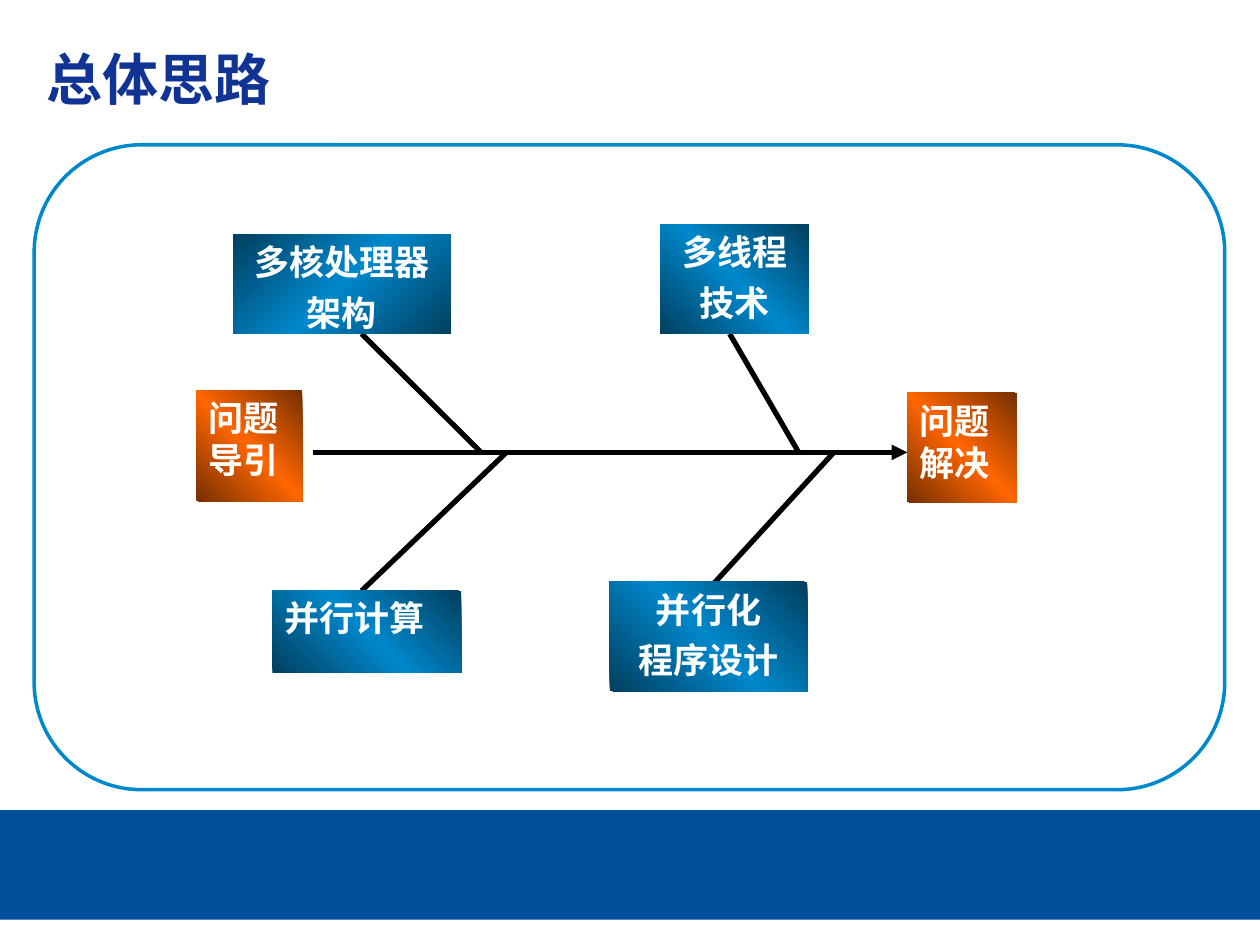
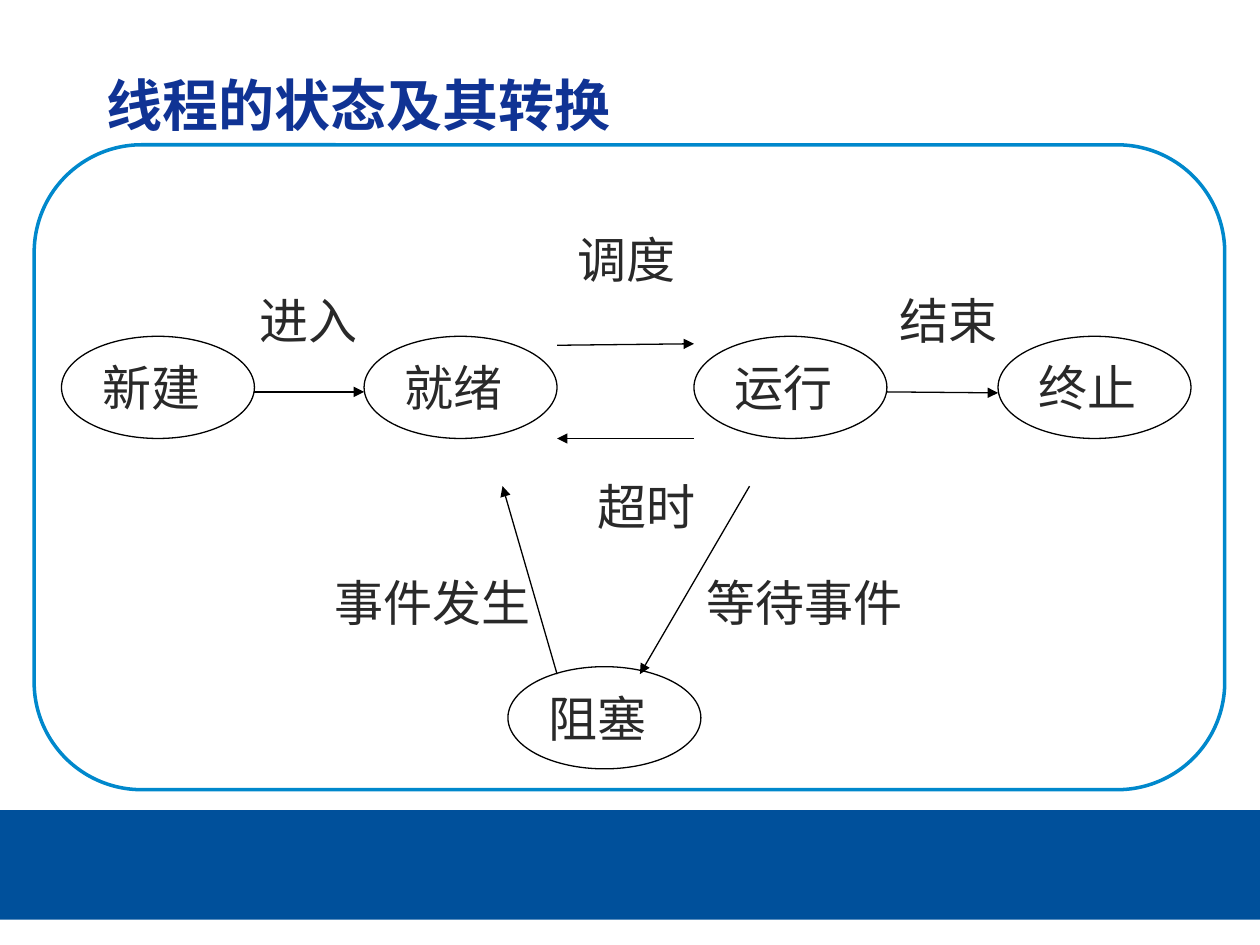
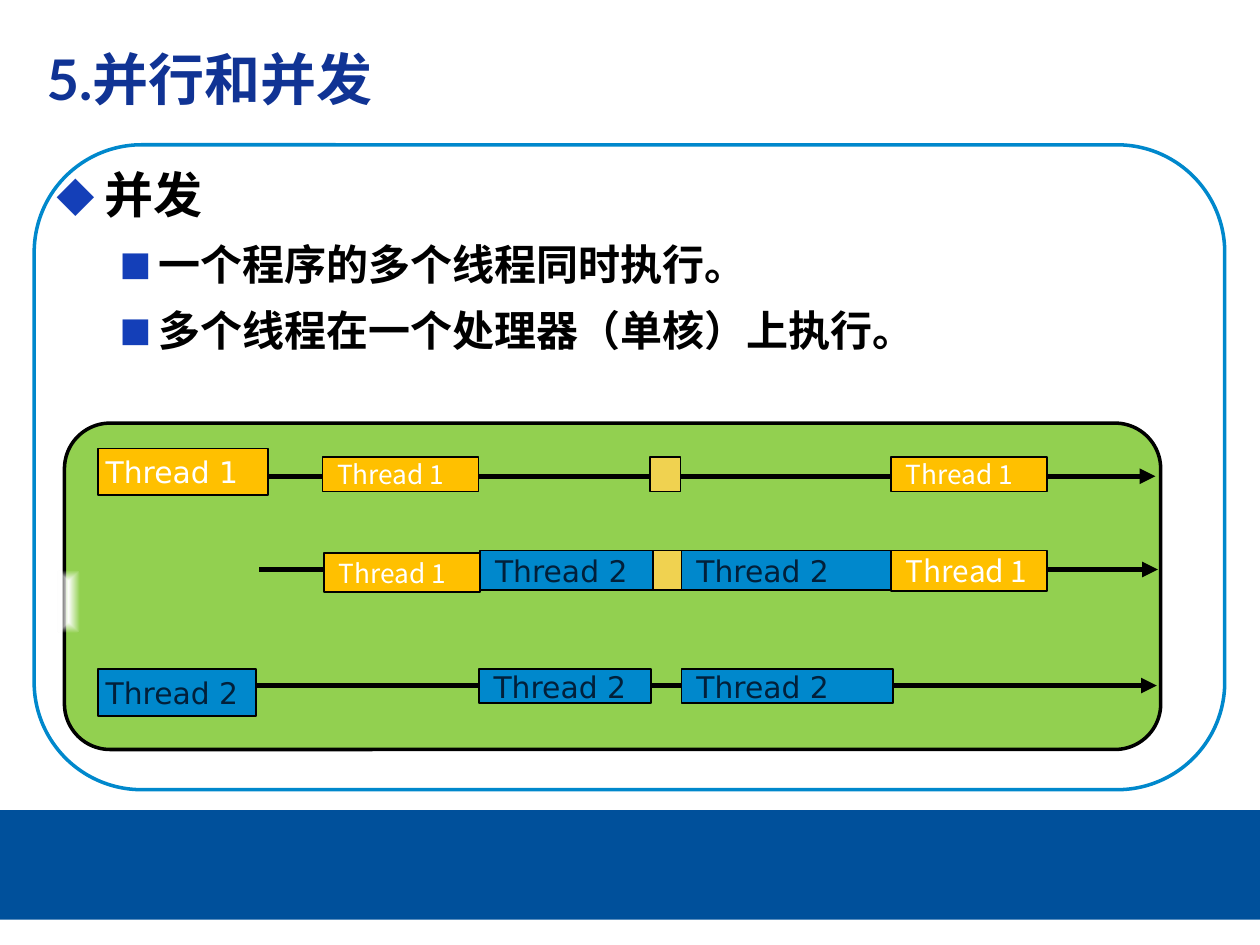
"""Build three slides on threads: the overall approach, thread states, and concurrency."""
import copy

import lxml.etree
import pptx
import pptx.dml.color
import pptx.enum.shapes
import pptx.enum.text
import pptx.oxml.ns
import pptx.util

Cm = pptx.util.Cm
Pt = pptx.util.Pt
RGBColor = pptx.dml.color.RGBColor
SHAPE = pptx.enum.shapes.MSO_SHAPE
ALIGN = pptx.enum.text.PP_ALIGN
ANCHOR = pptx.enum.text.MSO_ANCHOR
qn = pptx.oxml.ns.qn

BAND_BLUE = RGBColor(0x00, 0x50, 0x9B)
SKY_BLUE = RGBColor(0x00, 0x88, 0xCC)
DEEP_BLUE = RGBColor(0x00, 0x3F, 0x5E)
TITLE_BLUE = RGBColor(0x10, 0x33, 0x94)
BULLET_BLUE = RGBColor(0x14, 0x3F, 0xB8)
NAVY = RGBColor(0x02, 0x20, 0x3A)
ORANGE = RGBColor(0xFF, 0x66, 0x00)
BROWN = RGBColor(0x76, 0x2F, 0x00)
AMBER = RGBColor(0xFF, 0xC0, 0x00)
SAND = RGBColor(0xF0, 0xD2, 0x50)
GREEN = RGBColor(0x92, 0xD0, 0x50)
CHARCOAL = RGBColor(0x29, 0x29, 0x29)
BLACK = RGBColor(0x00, 0x00, 0x00)
WHITE = RGBColor(0xFF, 0xFF, 0xFF)

EAST_ASIAN_FONT = "Lato"
TITLE_FONT = {"size": Pt(32), "name": "Lato", "bold": True}
FISHBONE_FONT = {"size": Pt(20), "name": "Times New Roman", "bold": True}
STATE_FONT = {"size": Pt(28), "name": "Times New Roman"}
DEJAVU_17 = {"size": Pt(17), "name": "DejaVu Sans"}
NOTO_17 = {"size": Pt(17), "name": "Noto Sans CJK SC"}
NOTO_15 = {"size": Pt(15), "name": "Noto Sans CJK SC"}
MIDDLE = {"vertical_anchor": ANCHOR.MIDDLE}
SEGMENT_FRAME = {**MIDDLE, "margin_left": Cm(0.3), "margin_right": Cm(0.3),
                 "margin_top": Cm(0.15), "margin_bottom": Cm(0.15)}
LABEL_FRAME = {**MIDDLE, "margin_left": Cm(0.15), "margin_right": Cm(0.15),
               "margin_top": Cm(0.08), "margin_bottom": Cm(0.08)}


def add_block(slide, kind, box, lines=(), font=None, ink=BLACK, fill=None, outline=None,
              weight=1, align=ALIGN.LEFT, frame=None):
    """Add a preset shape, or a text box when kind is None, with its text."""
    place = [Cm(length) for length in box]
    if kind is None:
        block = slide.shapes.add_textbox(*place)
    else:
        block = slide.shapes.add_shape(kind, *place)
        block.shadow.inherit = False
        if fill is None:
            block.fill.background()
        else:
            block.fill.solid()
            block.fill.fore_color.rgb = fill
        if outline is None:
            block.line.fill.background()
        else:
            block.line.color.rgb = outline
            block.line.width = Pt(weight)
    settings = {"word_wrap": True, "vertical_anchor": ANCHOR.TOP, **(frame or {})}
    for name, value in settings.items():
        setattr(block.text_frame, name, value)
    for index, line in enumerate(lines):
        paragraph = block.text_frame.paragraphs[0] if index == 0 else block.text_frame.add_paragraph()
        paragraph.alignment = align
        paragraph.space_before = Pt(5 if index else 0)
        run = paragraph.add_run()
        run.text = line
        for name, value in font.items():
            setattr(run.font, name, value)
        run.font.color.rgb = ink
        lxml.etree.SubElement(run.font._element, qn("a:ea"), typeface=EAST_ASIAN_FONT)
    return block


def add_line(slide, ends, weight, arrow=True):
    """Add a black straight line, with an arrowhead at its end if asked."""
    line = slide.shapes.add_connector(pptx.enum.shapes.MSO_CONNECTOR.STRAIGHT,
                                      *[Cm(length) for length in ends])
    line.line.color.rgb = BLACK
    line.line.width = Pt(weight)
    if arrow:
        lxml.etree.SubElement(line.line._get_or_add_ln(), qn("a:tailEnd"), type="triangle")
    lxml.etree.SubElement(line._element.spPr, qn("a:effectLst"))


deck = pptx.Presentation()
deck.slide_width = Cm(25.4)
deck.slide_height = Cm(19.05)

TITLE_BOX = (0.69, 0.71, 22.86, 1.75)
titles = [
    ("总体思路", TITLE_BOX, TITLE_FONT, MIDDLE),
    ("线程的状态及其转换", (1.9, 1.3, 21.59, 1.68), {**TITLE_FONT, "name": "Noto Sans CJK SC"}, None),
    ("5.并行和并发", TITLE_BOX, TITLE_FONT, MIDDLE),
]
for title, box, font, frame in titles:
    slide = deck.slides.add_slide(deck.slide_layouts[6])
    add_block(slide, SHAPE.RECTANGLE, (0, 16.33, 25.4, 2.21), fill=BAND_BLUE)
    add_block(slide, SHAPE.FLOWCHART_ALTERNATE_PROCESS, (0.69, 2.92, 24, 13),
              outline=SKY_BLUE, weight=2)
    add_block(slide, None, box, [title], font, TITLE_BLUE, frame=frame)
approach, states, concurrency = deck.slides

add_line(approach, (6.3, 9.12, 18.29, 9.12), 3)
bones = [(7.29, 6.73, 9.7, 9.12), (10.21, 9.12, 7.29, 11.91),
         (16.81, 9.12, 14.3, 11.86), (14.71, 6.73, 16.1, 9.12)]
for bone in bones:
    add_line(approach, bone, 3, arrow=False)

topics = [
    (["问题导引"], (3.96, 7.87, 2.13, 2.24), BROWN, ORANGE, 45, ALIGN.LEFT),
    (["问题解决"], (18.29, 7.92, 2.21, 2.21), BROWN, ORANGE, 45, ALIGN.LEFT),
    (["多核处理器", "架构"], (4.7, 4.72, 4.39, 2.01), DEEP_BLUE, SKY_BLUE, 315, ALIGN.CENTER),
    (["并行计算"], (5.49, 11.91, 3.81, 1.65), DEEP_BLUE, SKY_BLUE, 45, ALIGN.LEFT),
    (["多线程", "技术"], (13.31, 4.52, 3, 2.21), DEEP_BLUE, SKY_BLUE, 45, ALIGN.CENTER),
    (["并行化", "程序设计"], (12.29, 11.73, 3.99, 2.21), DEEP_BLUE, SKY_BLUE, 45, ALIGN.CENTER),
]
for lines, box, edge, centre, angle, align in topics:
    topic = add_block(approach, SHAPE.RECTANGLE, box, lines, FISHBONE_FONT, WHITE, align=align)
    topic.fill.gradient()
    topic.fill.gradient_angle = angle
    stops = topic._element.spPr.find(".//" + qn("a:gsLst"))
    stops.append(copy.deepcopy(stops[0]))
    for stop, position, colour in zip(topic.fill.gradient_stops, (0, 0.5, 1), (edge, centre, edge)):
        stop.position = position
        stop.color.rgb = colour

thread_states = [("新建", 1.24, 6.78), ("运行", 13.99, 6.78), ("就绪", 7.34, 6.78),
                 ("阻塞", 10.24, 13.44), ("终止", 20.12, 6.78)]
for state, left, top in thread_states:
    add_block(states, SHAPE.OVAL, (left, top, 3.89, 2.06), [state], STATE_FONT, CHARCOAL,
              outline=BLACK, weight=0.75, align=ALIGN.JUSTIFY, frame=MIDDLE)

transitions = [
    ("进入", (4.98, 5.72, 2.59), (5.13, 7.9, 7.34, 7.9)),
    ("结束", (17.88, 5.72, 3), (17.88, 7.9, 20.12, 7.92)),
    ("事件发生", (6.5, 11.4, 4.72), (11.23, 13.59, 10.13, 9.8)),
    ("等待事件", (13.99, 11.4, 4.72), (15.11, 9.8, 12.9, 13.59)),
    ("调度", (11.4, 4.5, 2.67), (11.23, 6.96, 13.99, 6.93)),
    ("超时", (11.79, 9.47, 2.67), (13.99, 8.84, 11.23, 8.84)),
]
for event, place, ends in transitions:
    add_line(states, ends, 0.75)
    add_block(states, None, (*place, 1.45), [event], STATE_FONT, CHARCOAL,
              align=ALIGN.JUSTIFY, frame=MIDDLE)

definition = add_block(concurrency, None, (0.89, 2.72, 24, 12.4),
                       ["并发", "一个程序的多个线程同时执行。", "多个线程在一个处理器（单核）上执行。"],
                       {"size": Pt(24), "name": "DejaVu Sans", "bold": True})
heading, *points = definition.text_frame.paragraphs
heading.runs[0].font.size = Pt(28)
heading.line_spacing = 1.4
for point in points:
    point.level = 1
    point.line_spacing = 1.1
    point.space_before = Pt(6)
bullets = [(heading, "◆", 0.97, 0.97, 100)] + [(point, "■", 2.06, 0.79, 80) for point in points]
for paragraph, mark, margin, hanging, percent in bullets:
    properties = paragraph._p.get_or_add_pPr()
    properties.set("marL", str(Cm(margin)))
    properties.set("indent", str(-Cm(hanging)))
    bullet_colour = lxml.etree.SubElement(properties, qn("a:buClr"))
    lxml.etree.SubElement(bullet_colour, qn("a:srgbClr"), val=str(BULLET_BLUE))
    lxml.etree.SubElement(properties, qn("a:buSzPct"), val=str(percent * 1000))
    lxml.etree.SubElement(properties, qn("a:buFont"), typeface="DejaVu Sans")
    lxml.etree.SubElement(properties, qn("a:buChar"), char=mark)

panel = add_block(concurrency, SHAPE.ROUNDED_RECTANGLE, (1.3, 8.53, 22.1, 6.58),
                  fill=GREEN, outline=BLACK, weight=2)
panel.adjustments[0] = 0.14

glow = add_block(concurrency, SHAPE.ROUNDED_RECTANGLE, (1.17, 11.51, 0.43, 1.24))
glow.fill.gradient()
for stop in glow.fill.gradient_stops:
    stop.color.rgb = WHITE
gradient = glow._element.spPr.find(qn("a:gradFill"))
edge_colour = gradient.findall(".//" + qn("a:srgbClr"))[-1]
lxml.etree.SubElement(edge_colour, qn("a:alpha"), val="0")
direction = gradient.find(qn("a:lin"))
spread = lxml.etree.Element(qn("a:path"), path="rect")
lxml.etree.SubElement(spread, qn("a:fillToRect"), dict.fromkeys("ltrb", "50000"))
gradient.replace(direction, spread)

for start, height, end in [(5.23, 11.48, 23.34), (5.23, 9.6, 23.29), (5.08, 13.82, 23.32)]:
    add_line(concurrency, (start, height, end, height), 3)

THREAD_1 = (["Thread 1"], WHITE, AMBER)
THREAD_2 = (["Thread 2"], NAVY, SKY_BLUE)
SWITCH = ([], BLACK, SAND)
segments = [
    (THREAD_1, (6.53, 11.15, 3.15, 0.79), NOTO_15, SEGMENT_FRAME),
    (THREAD_2, (9.68, 11.1, 3.48, 0.79), DEJAVU_17, SEGMENT_FRAME),
    (SWITCH, (13.16, 11.1, 0.61, 0.79), None, None),
    (THREAD_2, (13.74, 11.1, 4.27, 0.79), DEJAVU_17, SEGMENT_FRAME),
    (THREAD_1, (17.96, 11.1, 3.15, 0.81), NOTO_17, SEGMENT_FRAME),
    (THREAD_1, (6.5, 9.22, 3.15, 0.69), NOTO_15, SEGMENT_FRAME),
    (SWITCH, (13.11, 9.22, 0.61, 0.69), None, None),
    (THREAD_1, (17.96, 9.22, 3.15, 0.69), NOTO_15, SEGMENT_FRAME),
    (THREAD_2, (9.65, 13.49, 3.48, 0.69), DEJAVU_17, SEGMENT_FRAME),
    (THREAD_2, (13.74, 13.49, 4.27, 0.69), DEJAVU_17, SEGMENT_FRAME),
    (THREAD_2, (1.98, 13.49, 3.18, 0.94), DEJAVU_17, LABEL_FRAME),
    (THREAD_1, (1.98, 9.04, 3.43, 0.94), DEJAVU_17, LABEL_FRAME),
]
for (lines, ink, fill), box, font, frame in segments:
    add_block(concurrency, SHAPE.RECTANGLE, box, lines, font, ink, fill, BLACK, frame=frame)

deck.save("out.pptx")
